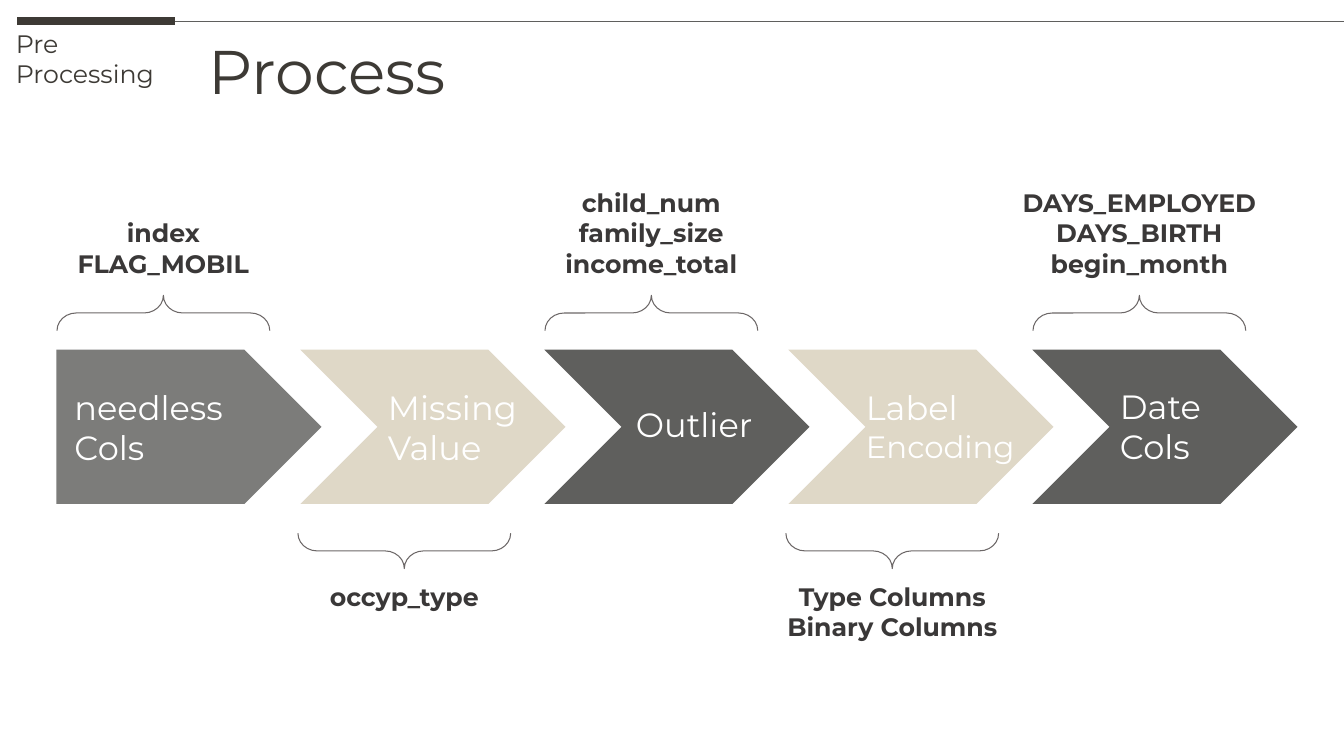
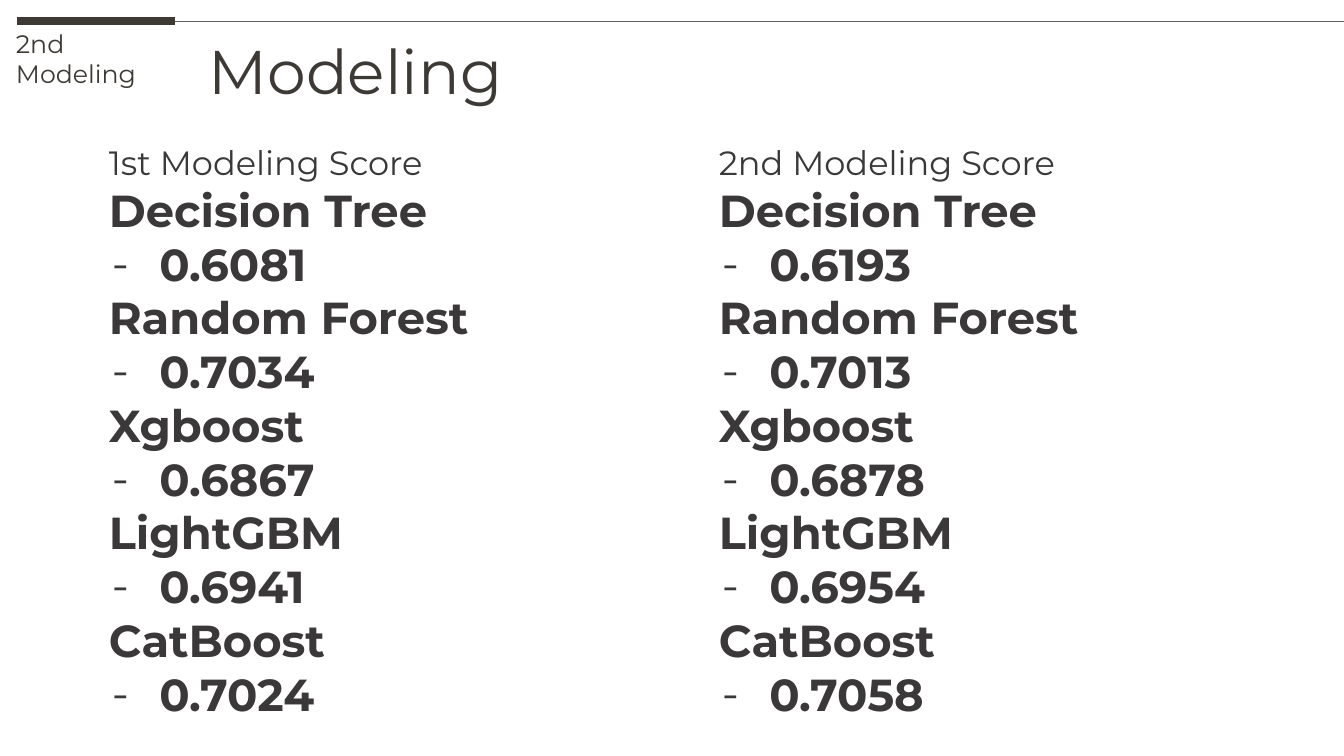
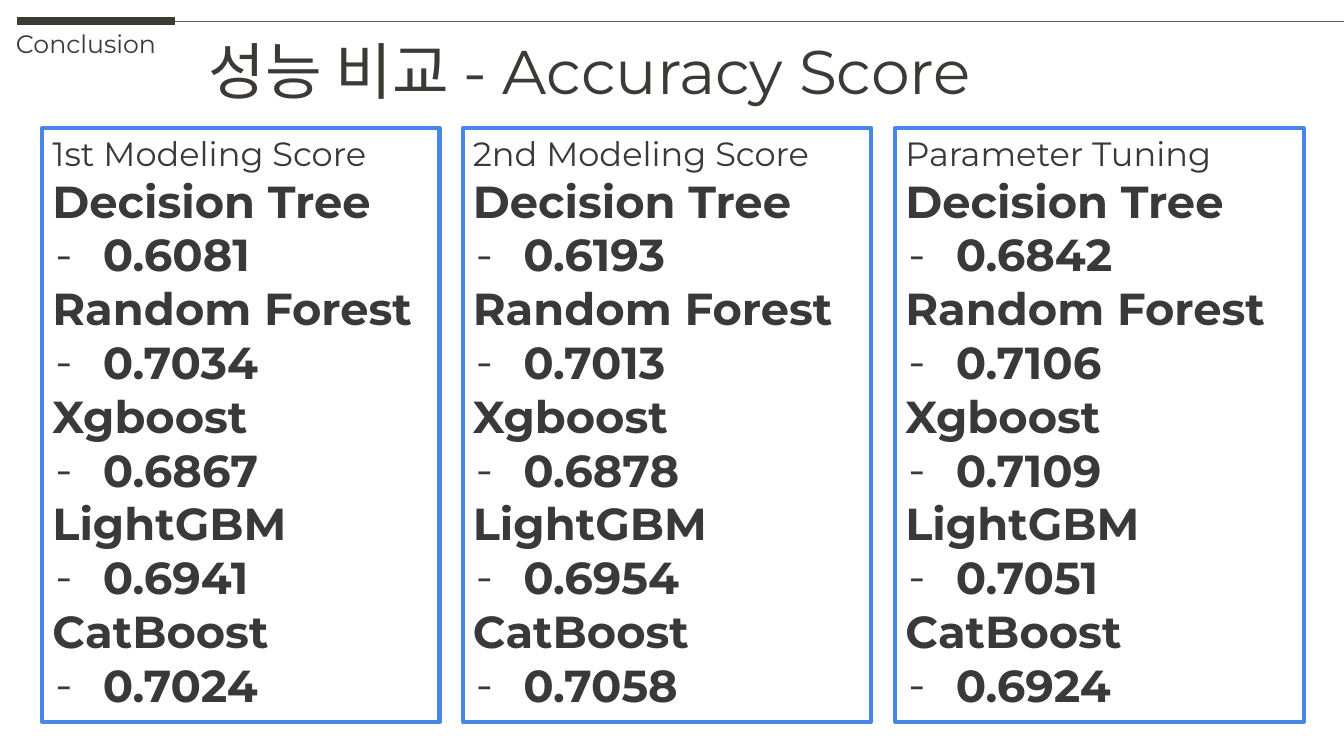
from dataclasses import dataclass

import lxml.etree
import pptx
import pptx.dml.color
import pptx.enum.shapes
import pptx.enum.text
import pptx.oxml.ns
import pptx.util

Inches = pptx.util.Inches
Pt = pptx.util.Pt
Rgb = pptx.dml.color.RGBColor.from_string
Align = pptx.enum.text.PP_ALIGN
Anchor = pptx.enum.text.MSO_ANCHOR
Preset = pptx.enum.shapes.MSO_SHAPE
qn = pptx.oxml.ns.qn


@dataclass(frozen=True)
class Theme:
    font: str = "Montserrat"
    heading: str = "3D3A35"
    body: str = "3A3838"
    dark: str = "5F5F5D"
    grey: str = "7C7C7A"
    beige: str = "DFD8C7"
    brace: str = "6C6767"
    frame: str = "4A86E8"
    white: str = "FFFFFF"
    title_size: int = 44
    model_size: int = 32
    label_size: int = 24
    tight_size: int = 22
    small_size: int = 18


theme = Theme()


def write(frame, lines, size, colour, bold=False, align=Align.LEFT, anchor=Anchor.TOP):
    """Fill a text frame with one plain paragraph per line."""
    frame.word_wrap = True
    frame.auto_size = pptx.enum.text.MSO_AUTO_SIZE.NONE
    frame.vertical_anchor = anchor
    frame.text = "\n".join(lines)
    for para in frame.paragraphs:
        para.alignment = align
        para.space_before = Pt(0)
        para.font.name = theme.font
        para.font.size = Pt(size)
        para.font.bold = bold
        para.font.color.rgb = Rgb(colour)


def place(shape, left, top, width, height):
    shape.left, shape.top = Inches(left), Inches(top)
    shape.width, shape.height = Inches(width), Inches(height)


deck = pptx.Presentation()
deck.slide_width, deck.slide_height = Inches(13.33), Inches(7.5)

# Content: model scores by modeling round
models = ["Decision Tree", "Random Forest", "Xgboost", "LightGBM", "CatBoost"]
scores = {
    "1st Modeling Score": ["0.6081", "0.7034", "0.6867", "0.6941", "0.7024"],
    "2nd Modeling Score": ["0.6193", "0.7013", "0.6878", "0.6954", "0.7058"],
    "Parameter Tuning": ["0.6842", "0.7106", "0.7109", "0.7051", "0.6924"],
}

# Pages: layout, section, title, score columns (left, width), column top, framed
title_only, two_content, comparison = (deck.slide_layouts[i] for i in (5, 3, 4))
pages = [
    (title_only, ["Pre", "Processing"], "Process", [], 0, False),
    (two_content, ["2nd", "Modeling"], "Modeling", [(0.98, 4.93), (7.03, 4.93)], 1.36, False),
    (comparison, ["Conclusion"], "성능 비교 - Accuracy Score",
     [(0.42, 3.94), (4.59, 4.05), (8.88, 4.05)], 1.27, True),
]

for layout, section, title, columns, column_top, framed in pages:
    page = deck.slides.add_slide(layout)

    # Header rule, section name and title
    for start, end, colour, weight in [(0.17, 1.74, theme.heading, 6), (1.74, 13.33, theme.dark, 0.75)]:
        rule = page.shapes.add_connector(
            pptx.enum.shapes.MSO_CONNECTOR.STRAIGHT,
            Inches(start), Inches(0.21), Inches(end), Inches(0.21))
        rule.line.color.rgb = Rgb(colour)
        rule.line.width = Pt(weight)
        lxml.etree.SubElement(rule._element.spPr, qn("a:effectLst"))
    section_box = page.shapes.add_textbox(Inches(0.06), Inches(0.23), Inches(2.01), Inches(0.71))
    write(section_box.text_frame, section, theme.small_size, theme.heading)
    place(page.shapes.title, 1.97, 0.28, 8.67, 0.84)
    write(page.shapes.title.text_frame, [title], theme.title_size, theme.heading)

    # Score columns in the body placeholders
    bodies = [holder for holder in page.placeholders if holder.placeholder_format.idx > 0]
    for spare in bodies[len(columns):]:
        spare._element.getparent().remove(spare._element)
    for body, (left, width), (heading, values) in zip(bodies, columns, scores.items()):
        place(body, left, column_top, width, 5.89)
        lines = [heading]
        for model, value in zip(models, values):
            lines += [model, value]
        write(body.text_frame, lines, theme.model_size, theme.body, True, Align.JUSTIFY)
        for number, para in enumerate(body.text_frame.paragraphs):
            properties = para._p.get_or_add_pPr()
            is_value = number > 0 and number % 2 == 0
            properties.set("marL", str(Inches(0.5) if is_value else 0))
            properties.set("indent", str(Inches(-0.47) if is_value else 0))
            if is_value:
                lxml.etree.SubElement(properties, qn("a:buFont"), typeface=theme.font)
                lxml.etree.SubElement(properties, qn("a:buChar"), char="-")
            else:
                lxml.etree.SubElement(properties, qn("a:buNone"))
        heading_font = body.text_frame.paragraphs[0].font
        heading_font.size, heading_font.bold = Pt(theme.label_size), False
        if framed:
            body.line.color.rgb = Rgb(theme.frame)
            body.line.width = Pt(3)

# Process steps: label, label left and top, fill, columns handled
steps = [
    (["needless", "Cols"], 0.64, 3.79, theme.grey, ["index", "FLAG_MOBIL"]),
    (["Missing", "Value"], 3.75, 3.79, theme.beige, ["occyp_type"]),
    (["Outlier"], 6.21, 3.96, theme.dark, ["child_num", "family_size", "income_total"]),
    (["Label", "Encoding"], 8.49, 3.79, theme.beige, ["Type Columns", "Binary Columns"]),
    (["Date", "Cols"], 11.01, 3.78, theme.dark, ["DAYS_EMPLOYED", "DAYS_BIRTH", "begin_month"]),
]
process = deck.slides[0].shapes
for number, (label, label_left, label_top, fill, handled) in enumerate(steps):
    step_left = 0.56 + 2.42 * number
    above = number % 2 == 0

    # Arrow
    arrow = process.add_shape(
        Preset.CHEVRON if number else Preset.PENTAGON,
        Inches(step_left), Inches(3.47), Inches(2.63), Inches(1.53))
    arrow.adjustments[0] = 0.5
    arrow.shadow.inherit = False
    arrow.fill.solid()
    arrow.fill.fore_color.rgb = Rgb(fill)
    arrow.line.fill.background()

    # Label
    label_box = process.add_textbox(Inches(label_left), Inches(label_top), Inches(2.2), Inches(0.91))
    write(label_box.text_frame, label, theme.label_size, theme.white)
    if "Encoding" in label:
        label_box.text_frame.paragraphs[1].font.size = Pt(theme.tight_size)

    # Brace, turned to point at its caption
    centre = step_left + (1.06 if above else 1.03)
    brace = process.add_shape(
        Preset.LEFT_BRACE, Inches(centre - 0.175), Inches(2.05 if above else 4.41),
        Inches(0.35), Inches(2.11))
    brace.rotation = 90 if above else 270
    brace.adjustments[0] = 0.545
    brace.shadow.inherit = False
    brace.fill.background()
    brace.line.color.rgb = Rgb(theme.brace)
    brace.line.width = Pt(0.75)

    # Caption
    caption = process.add_textbox(
        Inches(centre - 1.465), Inches(1.8 if above else 5.72), Inches(2.93), Inches(1.01))
    write(caption.text_frame, handled, theme.small_size, theme.body, True, Align.CENTER,
          Anchor.BOTTOM if above else Anchor.TOP)

deck.save("out.pptx")
